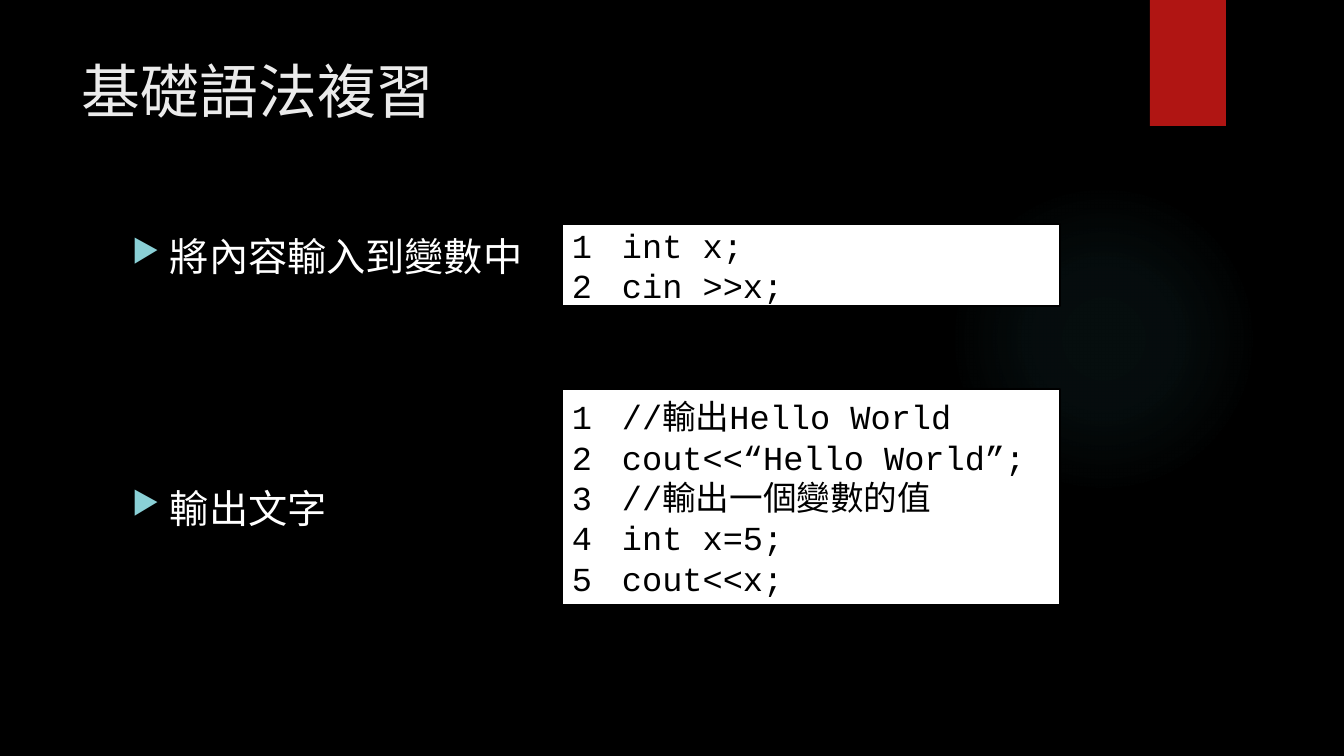
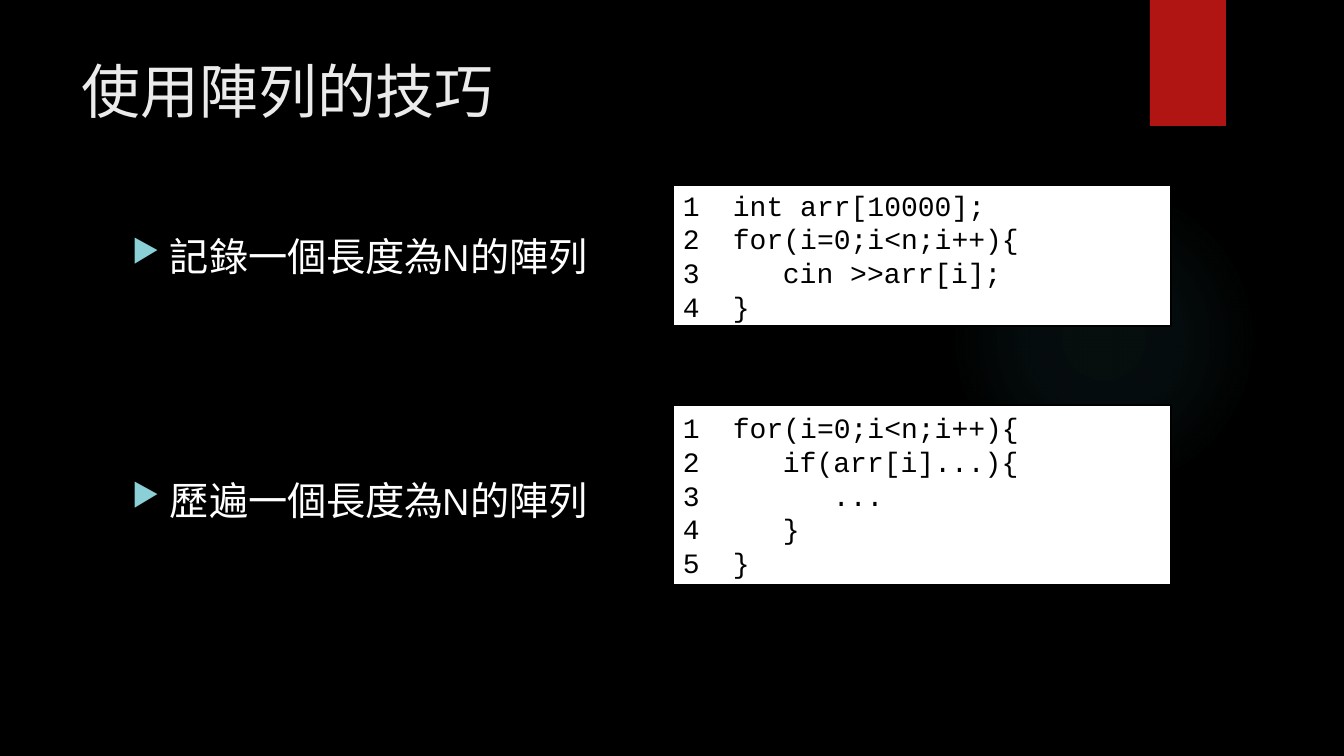
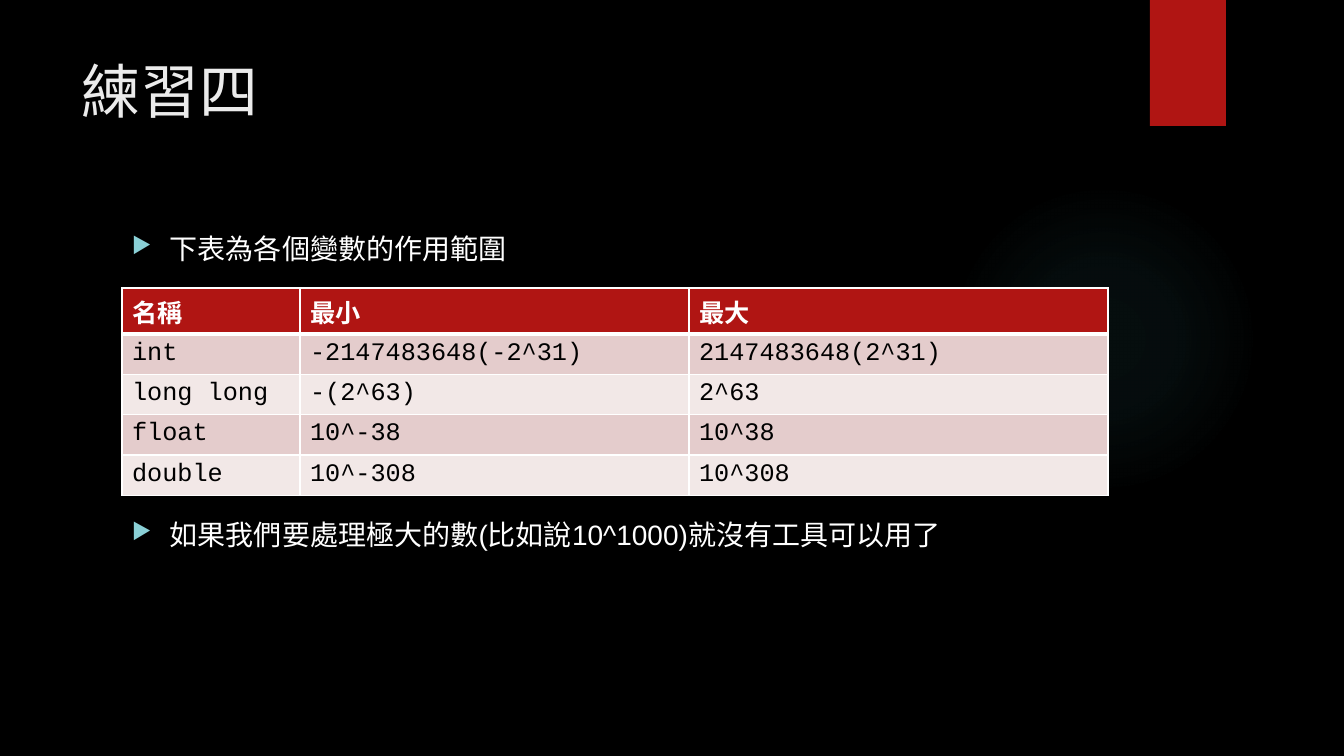
from lxml.etree import SubElement
from pptx import Presentation
from pptx.dml.color import RGBColor
from pptx.enum.shapes import MSO_SHAPE as Shape
from pptx.enum.text import MSO_ANCHOR as Anchor, PP_ALIGN as Align
from pptx.oxml import parse_xml
from pptx.oxml.ns import nsdecls, qn
from pptx.util import Pt

PX = 12192000 / 1344
BLACK = RGBColor(0x00, 0x00, 0x00)
WHITE = RGBColor(0xFF, 0xFF, 0xFF)
TITLE_GREY = RGBColor(0xEB, 0xEB, 0xEB)
RED = RGBColor(0xB0, 0x15, 0x13)
GLOW = RGBColor(0x50, 0xB9, 0xC1)
AQUA = RGBColor(0x8A, 0xD0, 0xD6)
BANDS = RGBColor(0xE4, 0xCC, 0xCC), RGBColor(0xF2, 0xE8, 0xE7)
DISPLAY, SANS, MONO = "League Spartan", "Arial", "Courier New"
TAB = 50           # width of one code indent
CODE_WIDTH = 498
ROW_HEIGHTS = 46, 39

# Content: bullets are (top, text, font), code is (top, height, lines)
SLIDES = [
    {"title": "基礎語法複習", "bullet_size": 28,
     "bullets": [(227, "將內容輸入到變數中", DISPLAY), (479, "輸出文字", DISPLAY)],
     "code_left": 562, "code_size": 24, "auto_number": True,
     "code": [
         (224, 82, ["int x;", "cin >>x;"]),
         (389, 216, ["//輸出Hello World", "cout<<“Hello World”;",
                     "//輸出一個變數的值", "int x=5;", "cout<<x;"])]},
    {"title": "使用陣列的技巧", "bullet_size": 28,
     "bullets": [(227, "記錄一個長度為N的陣列", DISPLAY),
                 (471, "歷遍一個長度為N的陣列", DISPLAY)],
     "code_left": 673, "code_size": 20, "auto_number": False,
     "code": [
         (185, 141, ["int arr[10000];", "for(i=0;i<n;i++){",
                     "\tcin >>arr[i];", "}"]),
         (405, 180, ["for(i=0;i<n;i++){", "\tif(arr[i]...){",
                     "\t\t...", "\t}", "}"])]},
    {"title": "練習四", "bullet_size": 20,
     "bullets": [(227, "下表為各個變數的作用範圍", DISPLAY),
                 (513, "如果我們要處理極大的數(比如說10^1000)就沒有工具可以用了", SANS)],
     "ranges": [("名稱", "最小", "最大"),
                ("int", "-2147483648(-2^31)", "2147483648(2^31)"),
                ("long long", "-(2^63)", "2^63"),
                ("float", "10^-38", "10^38"),
                ("double", "10^-308", "10^308")]},
]
RANGE_COLUMNS = 178, 389, 419


def px(*lengths):
    return [round(length * PX) for length in lengths]


def write(paragraph, text, color, **formats):
    run = paragraph.add_run()
    run.text = text
    run.font.color.rgb = color
    for name, value in formats.items():
        setattr(run.font, name, value)


def add_block(slide, kind, box, fill=None):
    block = slide.shapes.add_shape(kind, *px(*box))
    block.shadow.inherit = False
    block.line.fill.background()
    if fill is not None:
        block.fill.solid()
        block.fill.fore_color.rgb = fill
    return block


def hang(paragraph, indent):
    props = paragraph._p.get_or_add_pPr()
    width, = px(indent)
    props.set("marL", str(width))
    props.set("indent", str(-width))
    return props


# Shared decoration and title
def add_frame(slide, title):
    glow = add_block(slide, Shape.OVAL, (949, 184, 310, 310))
    stops = "".join(
        f'<a:gs pos="{pos}000"><a:srgbClr val="{GLOW}">'
        f'<a:alpha val="{alpha}000"/></a:srgbClr></a:gs>'
        for pos, alpha in ((0, 7), (36, 6), (69, 0)))
    glow._element.spPr.find(qn("a:prstGeom")).addnext(parse_xml(
        f'<a:gradFill {nsdecls("a")}><a:gsLst>{stops}</a:gsLst>'
        '<a:path path="circle"><a:fillToRect l="50000" t="50000" '
        'r="50000" b="50000"/></a:path></a:gradFill>'))

    ribbon = add_block(slide, Shape.RECTANGLE, (1150, 0, 76, 126), RED)
    ribbon._element.spPr.find(qn("a:effectLst")).append(parse_xml(
        f'<a:outerShdw {nsdecls("a")} blurRad="{Pt(3)}" dist="{Pt(2)}" '
        f'dir="5400000"><a:srgbClr val="{BLACK}"><a:alpha val="45000"/>'
        '</a:srgbClr></a:outerShdw>'))

    heading = slide.shapes.add_textbox(*px(72, 50, 1037, 154)).text_frame
    heading.word_wrap = True
    write(heading.paragraphs[0], title, TITLE_GREY, name=DISPLAY, size=Pt(42))


def add_bullet(slide, top, text, font, size):
    frame = slide.shapes.add_textbox(*px(122, top, 986, 60)).text_frame
    frame.word_wrap = True
    paragraph = frame.paragraphs[0]
    props = hang(paragraph, 38)
    SubElement(SubElement(props, qn("a:buClr")), qn("a:srgbClr"), val=str(AQUA))
    SubElement(props, qn("a:buSzPct"), val="80000")
    SubElement(props, qn("a:buChar"), char="▶")
    write(paragraph, text, WHITE, name=font, size=Pt(size))


def add_code(slide, box, lines, size, auto_number):
    panel = add_block(slide, Shape.RECTANGLE, box, WHITE)
    panel.line.color.rgb = BLACK
    panel.line.width = Pt(1.5)
    frame = panel.text_frame
    frame.word_wrap = True
    frame.vertical_anchor = Anchor.MIDDLE
    for number, line in enumerate(lines, 1):
        paragraph = frame.paragraphs[0] if number == 1 else frame.add_paragraph()
        paragraph.alignment = Align.LEFT
        if auto_number:
            SubElement(hang(paragraph, TAB), qn("a:buAutoNum"), type="arabicPlain")
        else:
            tabs = SubElement(paragraph._p.get_or_add_pPr(), qn("a:tabLst"))
            for stop in px(TAB, 2 * TAB, 3 * TAB):
                SubElement(tabs, qn("a:tab"), pos=str(stop), algn="l")
            line = f"{number}\t{line}"
        write(paragraph, line, BLACK, name=MONO, size=Pt(size))


# Table of value ranges
def set_borders(cell, row):
    widths = {"L": 1, "R": 1, "T": 3 if row == 1 else 1, "B": 3 if row == 0 else 1}
    props = cell._tc.get_or_add_tcPr()
    for index, (side, width) in enumerate(widths.items()):
        props.insert(index, parse_xml(
            f'<a:ln{side} {nsdecls("a")} w="{Pt(width)}"><a:solidFill>'
            f'<a:srgbClr val="{WHITE}"/></a:solidFill></a:ln{side}>'))


def add_ranges(slide, rows):
    heights = [ROW_HEIGHTS[min(row, 1)] for row in range(len(rows))]
    table = slide.shapes.add_table(
        len(rows), len(RANGE_COLUMNS),
        *px(122, 288, sum(RANGE_COLUMNS), sum(heights))).table
    for column, width in zip(table.columns, px(*RANGE_COLUMNS)):
        column.width = width
    for row, (values, height) in enumerate(zip(rows, px(*heights))):
        table.rows[row].height = height
        header = row == 0
        for column, value in enumerate(values):
            cell = table.cell(row, column)
            cell.fill.solid()
            cell.fill.fore_color.rgb = RED if header else BANDS[(row - 1) % 2]
            set_borders(cell, row)
            write(cell.text_frame.paragraphs[0], value, WHITE if header else BLACK,
                  name=MONO, size=Pt(18), bold=header)


def main():
    prs = Presentation()
    prs.slide_width, prs.slide_height = px(1344, 756)
    backdrop = prs.slide_master.background.fill
    backdrop.solid()
    backdrop.fore_color.rgb = BLACK
    for content in SLIDES:
        slide = prs.slides.add_slide(prs.slide_layouts[6])
        add_frame(slide, content["title"])
        for bullet in content["bullets"]:
            add_bullet(slide, *bullet, content["bullet_size"])
        for top, height, lines in content.get("code", []):
            add_code(slide, (content["code_left"], top, CODE_WIDTH, height), lines,
                     content["code_size"], content["auto_number"])
        if "ranges" in content:
            add_ranges(slide, content["ranges"])
    prs.save("out.pptx")


if __name__ == "__main__":
    main()
